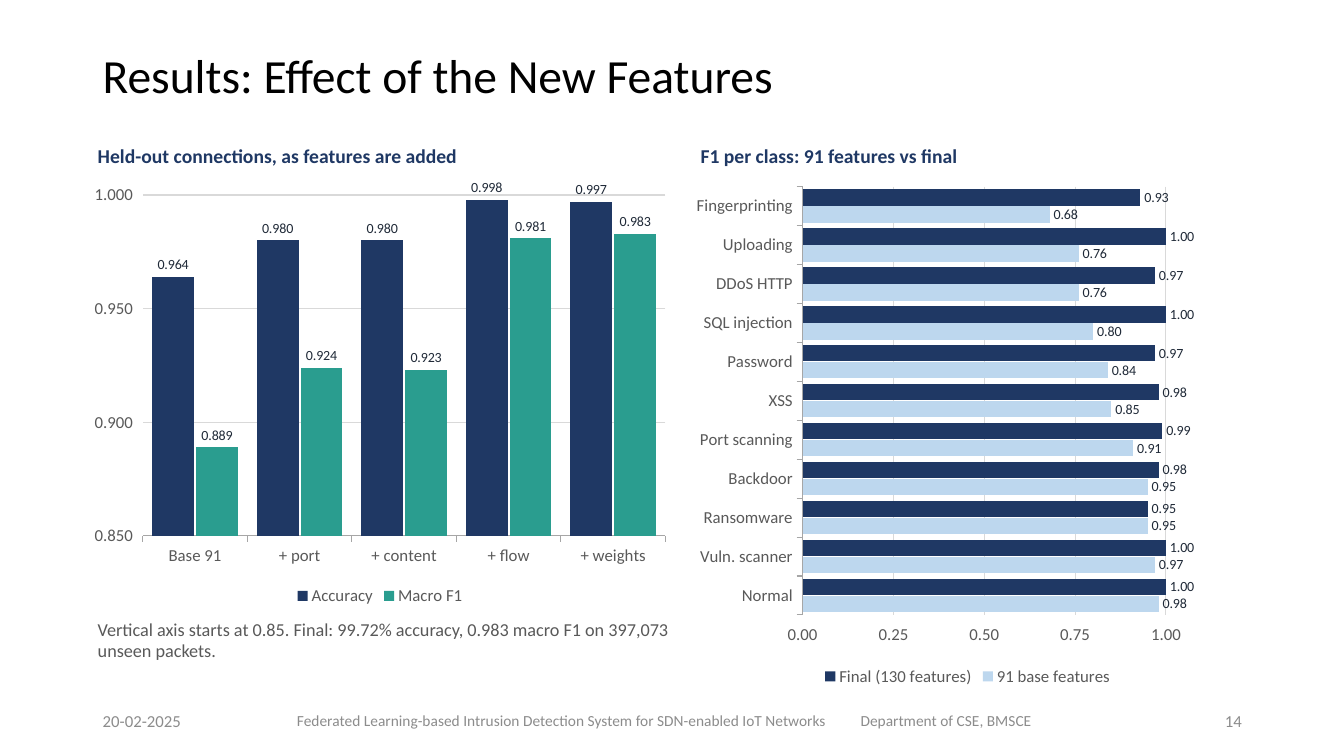
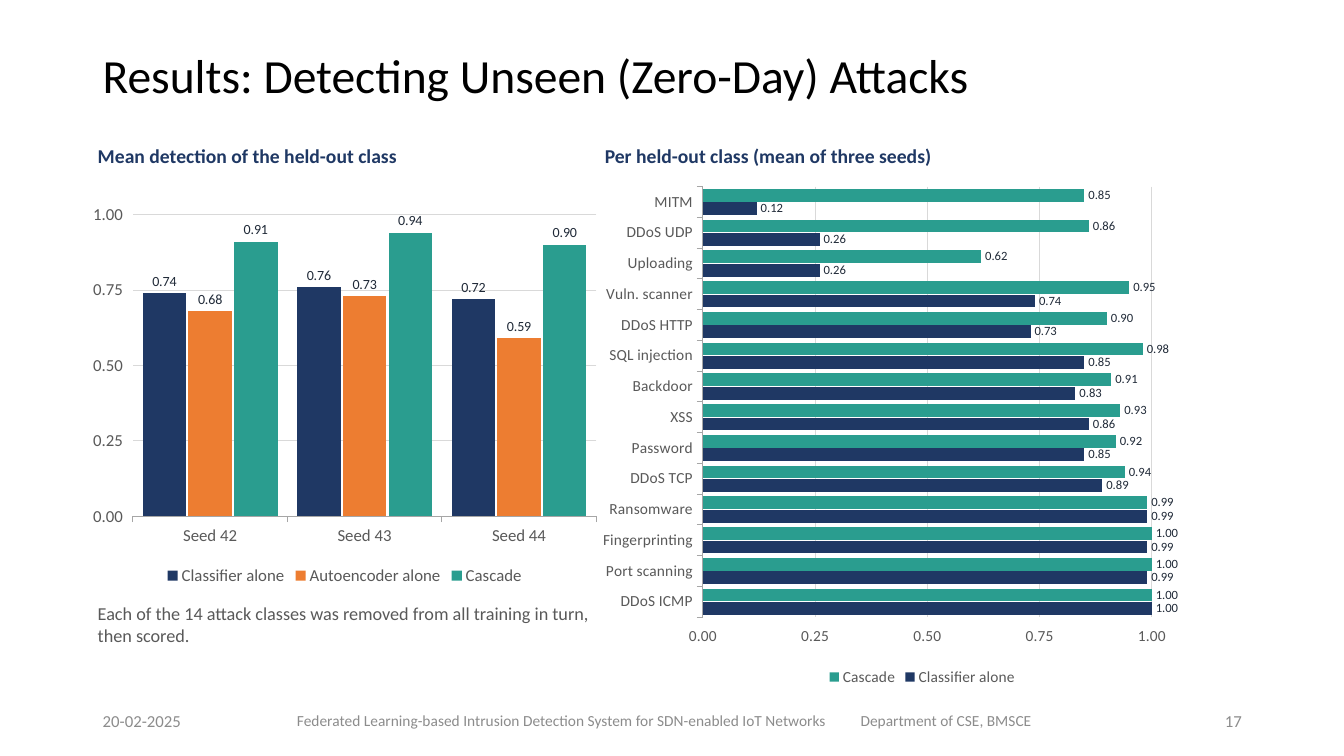
"""Build two result slides, each with a column chart and a per-class bar chart."""
from lxml.etree import SubElement
from pptx import Presentation
from pptx.chart.data import CategoryChartData
from pptx.dml.color import RGBColor
from pptx.enum.chart import XL_CHART_TYPE as ChartType
from pptx.enum.chart import XL_LABEL_POSITION as LabelPosition
from pptx.enum.chart import XL_LEGEND_POSITION as LegendPosition
from pptx.enum.chart import XL_TICK_MARK as TickMark
from pptx.enum.text import MSO_ANCHOR as Anchor
from pptx.enum.text import PP_ALIGN as Align
from pptx.oxml.ns import qn
from pptx.util import Pt

FONT = "Calibri"
BLACK = RGBColor(0x00, 0x00, 0x00)
NAVY = RGBColor(0x1F, 0x38, 0x64)
TEAL = RGBColor(0x2A, 0x9D, 0x8F)
ORANGE = RGBColor(0xED, 0x7D, 0x31)
PALE_BLUE = RGBColor(0xBD, 0xD7, 0xEE)
TEXT_GRAY = RGBColor(0x59, 0x59, 0x59)
FOOTER_GRAY = RGBColor(0x8C, 0x8C, 0x8C)
LABEL_INK = RGBColor(0x1F, 0x29, 0x37)
AXIS_GRAY = RGBColor(0xA6, 0xA6, 0xA6)
GRID_GRAY = RGBColor(0xD9, 0xD9, 0xD9)

LEFT = 66.24
HEADING_TOP, CHART_TOP = 100.8, 126
CHART_OUTDENT = 7.2
FOOTER_TOP, FOOTER_HEIGHT = 500.4, 28.8
FOOTER_TAB = 402.6
BODY_INSETS = (3.6, 2.16)

DATE = "20-02-2025"
FOOTER = ("Federated Learning-based Intrusion Detection System for "
          "SDN-enabled IoT Networks\tDepartment of CSE, BMSCE")

SLIDES = [
    {
        "title": "Results: Effect of the New Features",
        "number": "14",
        "panels": [
            {
                "heading": "Held-out connections, as features are added",
                "kind": ChartType.COLUMN_CLUSTERED,
                "left": LEFT, "width": 424.8, "height": 309.6,
                "axis": (0.85, 1, 0.05), "format": "0.000",
                "gap": 45, "size": 12, "label_size": 10,
                "categories": ["Base 91", "+ port", "+ content", "+ flow",
                               "+ weights"],
                "series": [
                    ("Accuracy", NAVY, [0.964, 0.98, 0.98, 0.998, 0.997]),
                    ("Macro F1", TEAL, [0.889, 0.924, 0.923, 0.981, 0.983]),
                ],
                "caption": ("Vertical axis starts at 0.85. Final: 99.72% "
                            "accuracy, 0.983 macro F1 on 397,073 unseen "
                            "packets."),
                "caption_top": 439.2,
            },
            {
                "heading": "F1 per class: 91 features vs final",
                "kind": ChartType.BAR_CLUSTERED,
                "left": 496.8, "width": 403.2, "height": 367.2,
                "axis": (0, 1.2, 0.25), "format": "0.00",
                "gap": 35, "size": 12, "label_size": 10,
                "categories": ["Normal", "Vuln. scanner", "Ransomware",
                               "Backdoor", "Port scanning", "XSS", "Password",
                               "SQL injection", "DDoS HTTP", "Uploading",
                               "Fingerprinting"],
                "series": [
                    ("91 base features", PALE_BLUE,
                     [0.98, 0.97, 0.95, 0.95, 0.91, 0.85, 0.84, 0.8, 0.76,
                      0.76, 0.68]),
                    ("Final (130 features)", NAVY,
                     [1, 1, 0.95, 0.98, 0.99, 0.98, 0.97, 1, 0.97, 1, 0.93]),
                ],
            },
        ],
    },
    {
        "title": "Results: Detecting Unseen (Zero-Day) Attacks",
        "number": "17",
        "panels": [
            {
                "heading": "Mean detection of the held-out class",
                "kind": ChartType.COLUMN_CLUSTERED,
                "left": LEFT, "width": 374.4, "height": 295.2,
                "axis": (0, 1.1, 0.25), "format": "0.00",
                "gap": 45, "size": 12, "label_size": 10,
                "categories": ["Seed 42", "Seed 43", "Seed 44"],
                "series": [
                    ("Classifier alone", NAVY, [0.74, 0.76, 0.72]),
                    ("Autoencoder alone", ORANGE, [0.68, 0.73, 0.59]),
                    ("Cascade", TEAL, [0.91, 0.94, 0.9]),
                ],
                "caption": ("Each of the 14 attack classes was removed from "
                            "all training in turn, then scored."),
                "caption_top": 428.4,
            },
            {
                "heading": "Per held-out class (mean of three seeds)",
                "kind": ChartType.BAR_CLUSTERED,
                "left": 428.4, "width": 475.2, "height": 367.2,
                "axis": (0, 1.2, 0.25), "format": "0.00",
                "gap": 35, "size": 11, "label_size": 9,
                "categories": ["DDoS ICMP", "Port scanning", "Fingerprinting",
                               "Ransomware", "DDoS TCP", "Password", "XSS",
                               "Backdoor", "SQL injection", "DDoS HTTP",
                               "Vuln. scanner", "Uploading", "DDoS UDP",
                               "MITM"],
                "series": [
                    ("Classifier alone", NAVY,
                     [1, 0.99, 0.99, 0.99, 0.89, 0.85, 0.86, 0.83, 0.85, 0.73,
                      0.74, 0.26, 0.26, 0.12]),
                    ("Cascade", TEAL,
                     [1, 1, 1, 0.99, 0.94, 0.92, 0.93, 0.91, 0.98, 0.9, 0.95,
                      0.62, 0.86, 0.85]),
                ],
            },
        ],
    },
]


def style_font(font, size, color, bold=False):
    font.name, font.size, font.bold = FONT, Pt(size), bold
    font.color.rgb = color


def add_text(page, text, place, size, color, bold=False, align=Align.LEFT,
             anchor=Anchor.MIDDLE, insets=(7.2, 3.6), tab=None):
    box = page.shapes.add_textbox(*map(Pt, place))
    frame = box.text_frame
    frame.word_wrap = True
    frame.vertical_anchor = anchor
    frame.margin_left = frame.margin_right = Pt(insets[0])
    frame.margin_top = frame.margin_bottom = Pt(insets[1])
    para = frame.paragraphs[0]
    para.add_run().text = text
    para.alignment = align
    if tab:
        stops = SubElement(para._p.get_or_add_pPr(), qn("a:tabLst"))
        SubElement(stops, qn("a:tab"), pos=str(Pt(tab)), algn="l")
    style_font(para.font, size, color, bold)
    return para


def style_line(line, color):
    line.color.rgb = color
    line.width = Pt(0.75)


def add_panel_chart(page, panel):
    data = CategoryChartData(number_format=panel["format"])
    data.categories = panel["categories"]
    for name, _, values in panel["series"]:
        data.add_series(name, values)
    place = (panel["left"] - CHART_OUTDENT, CHART_TOP,
             panel["width"], panel["height"])
    chart = page.shapes.add_chart(panel["kind"], *map(Pt, place), data).chart
    style_font(chart.font, panel["size"], TEXT_GRAY)
    chart.has_title = False
    chart.has_legend = True
    chart.legend.position = LegendPosition.BOTTOM
    chart.legend.include_in_layout = False
    style_font(chart.legend.font, panel["size"], TEXT_GRAY)

    for axis in (chart.category_axis, chart.value_axis):
        axis.major_tick_mark = TickMark.OUTSIDE
        axis.minor_tick_mark = TickMark.NONE
        style_font(axis.tick_labels.font, panel["size"], TEXT_GRAY)
    chart.category_axis.has_major_gridlines = False
    style_line(chart.category_axis.format.line, AXIS_GRAY)
    scale = chart.value_axis
    scale.minimum_scale, scale.maximum_scale, scale.major_unit = panel["axis"]
    scale.tick_labels.number_format = panel["format"]
    scale.tick_labels.number_format_is_linked = False
    scale.format.line.fill.background()
    scale.has_major_gridlines = True
    style_line(scale.major_gridlines.format.line, GRID_GRAY)

    plot = chart.plots[0]
    plot.vary_by_categories = False
    plot.gap_width, plot.overlap = panel["gap"], -5
    for series, (_, color, _) in zip(plot.series, panel["series"]):
        series.format.fill.solid()
        series.format.fill.fore_color.rgb = color
        series.invert_if_negative = False
        labels = series.data_labels
        labels.show_value = True
        labels.position = LabelPosition.OUTSIDE_END
        labels.number_format = panel["format"]
        labels.number_format_is_linked = False
        style_font(labels.font, panel["label_size"], LABEL_INK)


def add_panel(page, panel):
    left, width = panel["left"], panel["width"] - CHART_OUTDENT
    heading = add_text(page, panel["heading"], (left, HEADING_TOP, width, 28.8),
                       14, NAVY, bold=True, anchor=Anchor.TOP,
                       insets=BODY_INSETS)
    heading.space_after = Pt(6)
    add_panel_chart(page, panel)
    if "caption" in panel:
        caption = add_text(page, panel["caption"],
                           (left, panel["caption_top"], width, 50.4),
                           13, TEXT_GRAY, anchor=Anchor.TOP,
                           insets=BODY_INSETS)
        caption.space_after = Pt(6)


def add_frame(page, title, number):
    heading = add_text(page, title, (LEFT, 21.6, 784.8, 68.4), 34, BLACK)
    heading.line_spacing = 0.9
    for text, left, width, size, align, tab in (
            (DATE, LEFT, 130, 12, Align.LEFT, None),
            (FOOTER, 205, 580, 11, Align.LEFT, FOOTER_TAB),
            (number, 794.24, 100, 12, Align.RIGHT, None)):
        add_text(page, text, (left, FOOTER_TOP, width, FOOTER_HEIGHT), size,
                 FOOTER_GRAY, align=align, tab=tab)


def main():
    deck = Presentation()
    deck.slide_width, deck.slide_height = Pt(960), Pt(540)
    for slide in SLIDES:
        page = deck.slides.add_slide(deck.slide_layouts[6])
        add_frame(page, slide["title"], slide["number"])
        for panel in slide["panels"]:
            add_panel(page, panel)
    deck.save("out.pptx")


if __name__ == "__main__":
    main()
